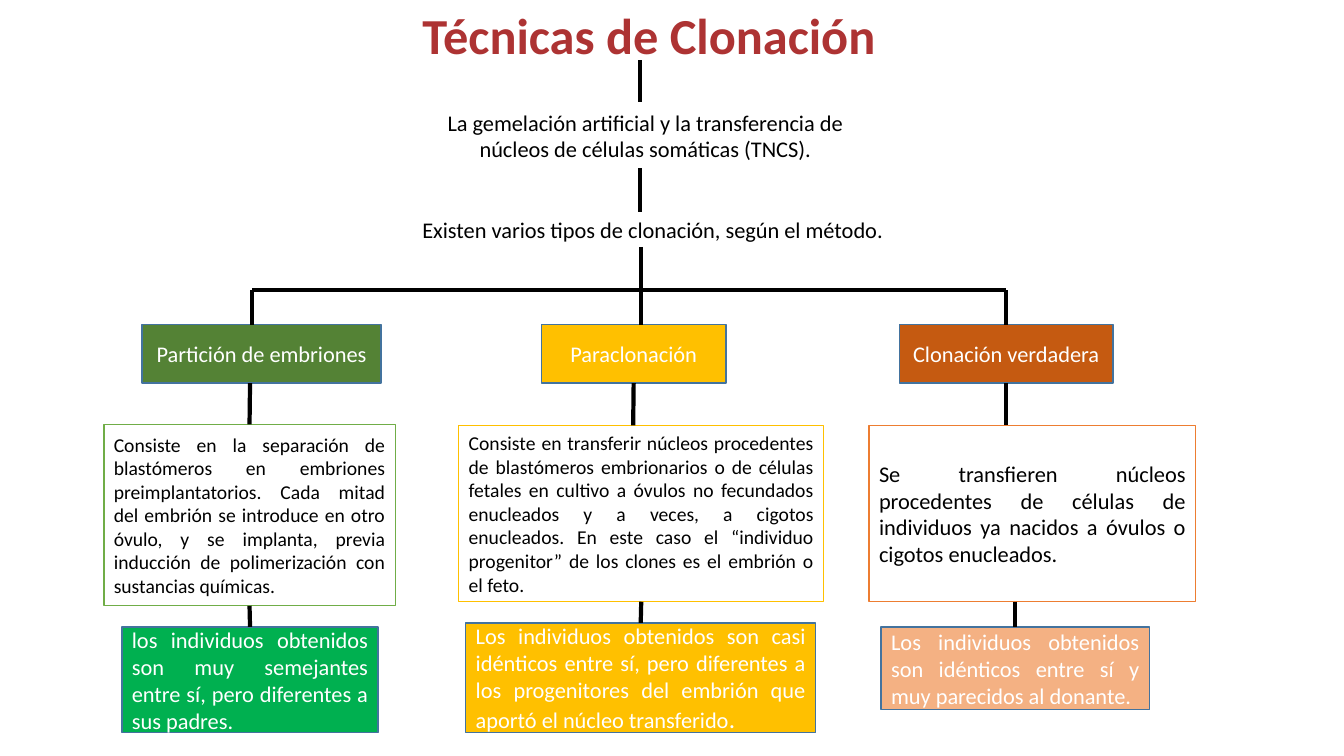
from lxml.etree import SubElement
from pptx import Presentation
from pptx.dml.color import RGBColor
from pptx.enum.shapes import MSO_CONNECTOR, MSO_SHAPE
from pptx.enum.text import MSO_ANCHOR, PP_ALIGN
from pptx.oxml.ns import qn
from pptx.util import Inches, Pt

COLORS = {
    "black": "000000", "white": "FFFFFF", "title": "AD3333", "edge": "43739E",
    "moss": "548235", "leaf": "70AD47", "green": "00B050", "gold": "FFC000",
    "rust": "C55A11", "orange": "ED7D31", "peach": "F4B183",
}
HEAD_TOP, HEAD_H, BAR_Y, TRUNK_X = 3.22, 0.58, 2.88, 6.36

HEADS = [
    (1.41, 2.37, "moss", "Partición de embriones"),
    (5.37, 1.83, "gold", "Paraclonación"),
    (8.92, 2.12, "rust", "Clonación verdadera"),
]
METHODS = [
    (1.03, 4.21, 2.89, 1.8, "leaf", 14,
     "Consiste en la separación de blastómeros en embriones preimplantatorios. "
     "Cada mitad del embrión se introduce en otro óvulo, y se implanta, previa "
     "inducción de polimerización con sustancias químicas."),
    (4.55, 4.22, 3.62, 1.75, "gold", 14,
     "Consiste en transferir núcleos procedentes de blastómeros embrionarios o de "
     "células fetales en cultivo a óvulos no fecundados enucleados y a veces, a "
     "cigotos enucleados. En este caso el “individuo progenitor” de los clones es "
     "el embrión o el feto."),
    (8.62, 4.22, 3.24, 1.75, "orange", 16,
     "Se transfieren núcleos procedentes de células de individuos ya nacidos a "
     "óvulos o cigotos enucleados."),
]
RESULTS = [
    (1.21, 6.22, 2.54, 1.05, "green",
     "los individuos obtenidos son muy semejantes entre sí, pero diferentes a sus "
     "padres."),
    (4.62, 6.18, 3.47, 1.09, "gold",
     "Los individuos obtenidos son casi idénticos entre sí, pero diferentes a los "
     "progenitores del embrión que aportó el núcleo transferido"),
    (8.74, 6.22, 2.66, 0.82, "peach",
     "Los individuos obtenidos son idénticos entre sí y muy parecidos al donante."),
]


def rgb(name):
    """Return the named colour."""
    return RGBColor.from_string(COLORS[name])


def style(para, size, color, align, bold=False):
    """Set the font and alignment of a paragraph."""
    para.alignment = align
    font = para.font
    font.name, font.size, font.bold = "Calibri", Pt(size), bold
    font.color.rgb = rgb(color)


def place(shape, left, top, width, height):
    """Move and size a shape."""
    shape.left, shape.top = Inches(left), Inches(top)
    shape.width, shape.height = Inches(width), Inches(height)


def add_title(slide, text):
    """Fill and format the title placeholder."""
    title = slide.shapes.title
    place(title, 4.09, 0.06, 8.5, 1.08)
    frame = title.text_frame
    frame.text = text
    frame.vertical_anchor = MSO_ANCHOR.TOP
    para = frame.paragraphs[0]
    para.line_spacing = 0.9
    style(para, 36, "title", PP_ALIGN.LEFT, True)


def add_note(slide, rect, text, align, spacing=1.0):
    """Add plain black text."""
    frame = slide.shapes.add_textbox(*map(Inches, rect)).text_frame
    frame.word_wrap = True
    frame.text = text
    para = frame.paragraphs[0]
    para.line_spacing = spacing
    style(para, 16, "black", align)


def add_box(slide, rect, fill, line, text, size, color, align):
    """Add a filled rectangle with text."""
    box = slide.shapes.add_shape(MSO_SHAPE.RECTANGLE, *map(Inches, rect))
    box.shadow.inherit = False
    box.fill.solid()
    box.fill.fore_color.rgb = rgb(fill)
    box.line.color.rgb = rgb(line)
    box.line.width = Pt(1)
    frame = box.text_frame
    frame.word_wrap = True
    frame.vertical_anchor = MSO_ANCHOR.MIDDLE
    frame.text = text
    style(frame.paragraphs[0], size, color, align)
    return box


def add_line(slide, start, end, above=None, below=None):
    """Add a thick line, joined to the boxes above and below if given."""
    points = map(Inches, (*start, *end))
    line = slide.shapes.add_connector(MSO_CONNECTOR.STRAIGHT, *points)
    line.line.color.rgb = rgb("black")
    line.line.width = Pt(3)
    SubElement(line._element.spPr, qn("a:effectLst"))
    if above:
        line.begin_connect(above, 2)
    if below:
        line.end_connect(below, 0)


def main():
    """Build the slide and save it."""
    deck = Presentation()
    deck.slide_width, deck.slide_height = Inches(13.33), Inches(7.5)
    slide = deck.slides.add_slide(deck.slide_layouts[5])

    add_title(slide, "Técnicas de Clonación")
    add_note(slide, (4.09, 1.03, 4.62, 0.64),
             "La gemelación artificial y la transferencia de núcleos de células "
             "somáticas (TNCS).", PP_ALIGN.CENTER)
    add_note(slide, (4.09, 2.13, 8.5, 0.4),
             "Existen varios tipos de clonación, según el método.",
             PP_ALIGN.LEFT, 0.9)

    heads = [add_box(slide, (left, HEAD_TOP, width, HEAD_H), fill, "edge", text,
                     16, "white", PP_ALIGN.CENTER)
             for left, width, fill, text in HEADS]
    methods = [add_box(slide, rect, "white", line, text, size, "black",
                       PP_ALIGN.JUSTIFY)
               for *rect, line, size, text in METHODS]
    results = [add_box(slide, rect, fill, "edge", text, 16, "white",
                       PP_ALIGN.JUSTIFY)
               for *rect, fill, text in RESULTS]
    stop = results[1].text_frame.paragraphs[0].add_run()
    stop.text = "."
    stop.font.size = Pt(18)

    for top, bottom in [(0.6, 1.01), (1.67, 2.1)]:
        add_line(slide, (6.35, top), (6.35, bottom))
    add_line(slide, (TRUNK_X, 2.45), (TRUNK_X, BAR_Y))
    add_line(slide, (TRUNK_X, BAR_Y), (TRUNK_X, HEAD_TOP))
    for x, head in [(2.5, None), (9.98, heads[2])]:
        add_line(slide, (TRUNK_X, BAR_Y), (x, BAR_Y))
        add_line(slide, (x, BAR_Y), (x, HEAD_TOP), below=head)

    foot = HEAD_TOP + HEAD_H
    add_line(slide, (2.48, foot), (2.48, 4.21), below=methods[0])
    add_line(slide, (6.28, foot), (6.28, 4.22), above=heads[1])
    add_line(slide, (9.98, foot), (9.98, 4.22), above=heads[2])
    add_line(slide, (2.48, 6.01), (2.48, 6.22), methods[0], results[0])
    add_line(slide, (6.36, 5.97), (6.36, 6.18), methods[1], results[1])
    add_line(slide, (10.07, 5.97), (10.07, 6.22), below=results[2])

    deck.save("out.pptx")


if __name__ == "__main__":
    main()
